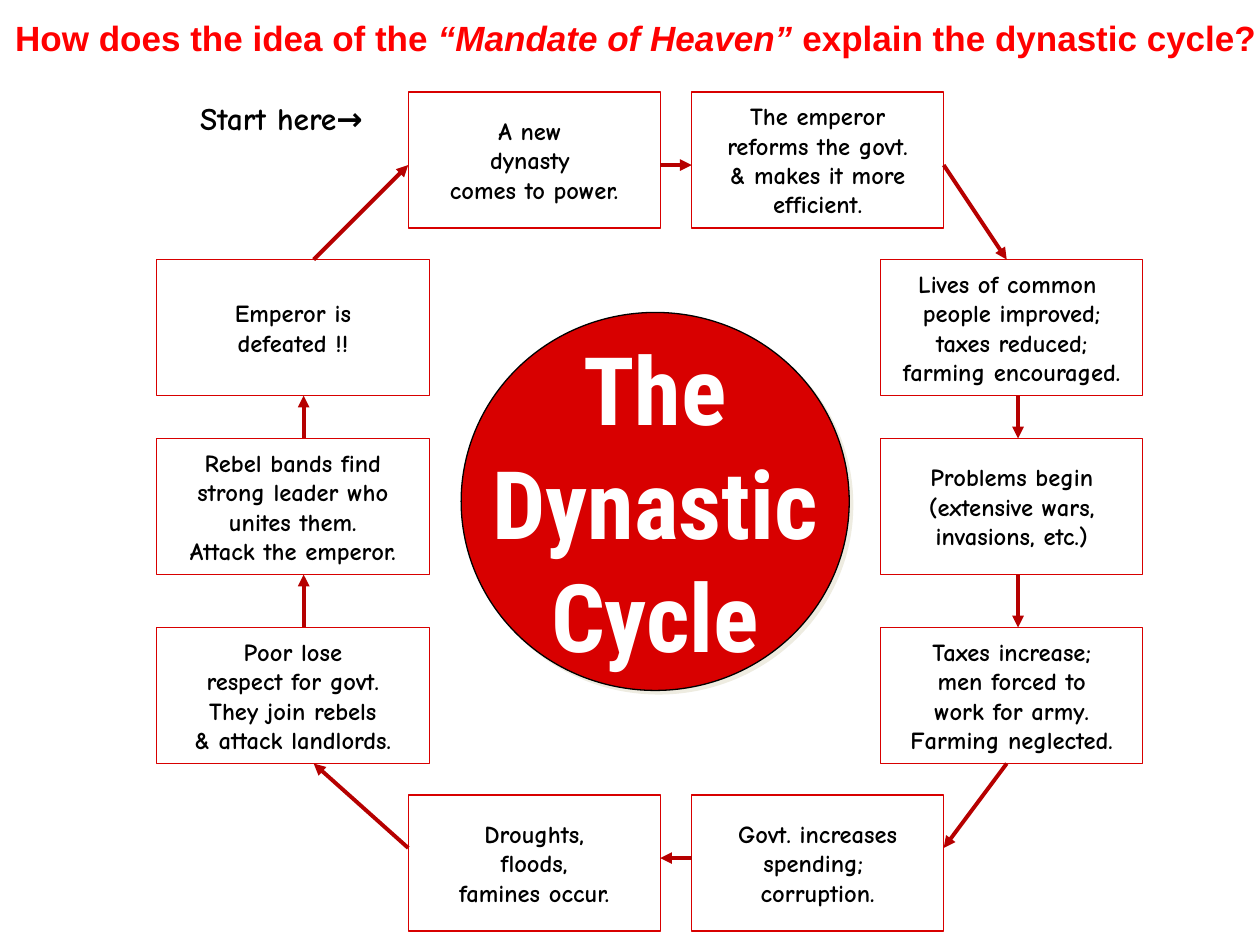
"""Builds a slide that shows the dynastic cycle as a ring of boxes around a circle."""
from dataclasses import dataclass

from lxml.etree import SubElement
from pptx import Presentation
from pptx.dml.color import RGBColor as Rgb
from pptx.enum.shapes import MSO_CONNECTOR as Link, MSO_SHAPE as Form
from pptx.enum.text import MSO_ANCHOR as Anchor, MSO_AUTO_SIZE as Fit, PP_ALIGN as Align
from pptx.oxml.ns import qn
from pptx.util import Inches, Pt


@dataclass(frozen=True)
class Theme:
    red: Rgb = Rgb(0xD8, 0x00, 0x00)
    dark: Rgb = Rgb(0xB6, 0x00, 0x00)
    bright: Rgb = Rgb(0xFF, 0x00, 0x00)
    black: Rgb = Rgb(0x00, 0x00, 0x00)
    white: Rgb = Rgb(0xFF, 0xFF, 0xFF)
    shade: str = "EEECE1"
    head: str = "Arial"
    hand: str = "Comic Neue"
    hub: str = "Roboto Condensed"
    small: Pt = Pt(14)
    start: Pt = Pt(18)
    title: Pt = Pt(20)
    huge: Pt = Pt(54)


def style(para, name, size, color, align=Align.LEFT):
    para.alignment = align
    font = para.font
    font.name, font.size, font.bold = name, size, True
    font.color.rgb = color


def add_node(form, place, text, fill, line, font):
    node = slide.shapes.add_shape(form, *map(Inches, place))
    node.shadow.inherit = False
    node.fill.solid()
    node.fill.fore_color.rgb = fill
    node.line.color.rgb = line
    node.line.width = Pt(0.75)
    frame = node.text_frame
    frame.word_wrap = False
    frame.vertical_anchor = Anchor.MIDDLE
    frame.paragraphs[0].text = text
    style(frame.paragraphs[0], *font, Align.CENTER)
    return node


theme = Theme()
deck = Presentation()
deck.slide_width, deck.slide_height = Inches(10), Inches(7.5)
slide = deck.slides.add_slide(deck.slide_layouts[5])

title = slide.shapes.title
title.left, title.top = Inches(0.02), Inches(0.08)
title.width, title.height = Inches(10.08), Inches(0.44)
frame = title.text_frame
frame.word_wrap = True
frame.auto_size = Fit.NONE
frame.vertical_anchor = Anchor.TOP
para = frame.paragraphs[0]
style(para, theme.head, theme.title, theme.bright)
for text, slant in [
    ("How does the idea of the ", False),
    ("“Mandate of Heaven” ", True),
    ("explain the dynastic cycle?", False),
]:
    run = para.add_run()
    run.text = text
    run.font.italic = slant

hub = add_node(Form.OVAL, (3.66, 2.48, 3.08, 3), "The\nDynastic\nCycle",
               theme.red, theme.black, (theme.hub, theme.huge, theme.white))
glow = SubElement(hub.element.spPr.find(qn("a:effectLst")), qn("a:outerShdw"),
                  dist=str(Pt(2.8)), dir="2700000", algn="ctr", rotWithShape="0")
SubElement(glow, qn("a:srgbClr"), val=theme.shade)

cols = {"west": (1.24, 2.17), "left": (3.24, 2), "right": (5.49, 2), "east": (6.99, 2.08)}
rows = [0.73, 2.06, 3.48, 4.98, 6.31]
tall = 1.08
steps = [
    ("left", 0, "A new \ndynasty \ncomes to power."),
    ("right", 0, "The emperor\nreforms the govt.\n& makes it more\nefficient."),
    ("east", 1, "Lives of common \npeople improved;\ntaxes reduced;\nfarming encouraged."),
    ("east", 2, "Problems begin\n(extensive wars,\ninvasions, etc.)"),
    ("east", 3, "Taxes increase;\nmen forced to\nwork for army.\nFarming neglected."),
    ("right", 4, "Govt. increases\nspending; \ncorruption."),
    ("left", 4, "Droughts,\nfloods,\nfamines occur."),
    ("west", 3, "Poor lose\nrespect for govt.\nThey join rebels\n& attack landlords."),
    ("west", 2, "Rebel bands find\nstrong leader who\nunites them.\nAttack the emperor."),
    ("west", 1, "Emperor is\ndefeated !!"),
]
for col, row, text in steps:
    left, width = cols[col]
    add_node(Form.RECTANGLE, (left, rows[row], width, tall), text,
             theme.white, theme.red, (theme.hand, theme.small, theme.black))

ends = [row + tall for row in rows]
arrows = [
    (5.24, 1.31, 5.49, 1.31),
    (7.49, 1.31, 7.99, rows[1]),
    (8.08, ends[1], 8.08, rows[2]),
    (8.08, ends[2], 8.08, rows[3]),
    (7.99, ends[3], 7.49, 6.73),
    (5.49, 6.81, 5.24, 6.81),
    (3.24, 6.73, 2.49, ends[3]),
    (2.41, rows[3], 2.41, ends[2]),
    (2.41, rows[2], 2.41, ends[1]),
    (2.49, rows[1], 3.24, 1.31),
]
for points in arrows:
    arrow = slide.shapes.add_connector(Link.STRAIGHT, *map(Inches, points))
    arrow.line.color.rgb = theme.dark
    arrow.line.width = Pt(2.25)
    SubElement(arrow.line._get_or_add_ln(), qn("a:tailEnd"), type="triangle")
    SubElement(arrow.element.spPr, qn("a:effectLst"))

label = slide.shapes.add_textbox(*map(Inches, (1.49, 0.74, 1.83, 0.45)))
label.text_frame.word_wrap = True
para = label.text_frame.paragraphs[0]
para.text = "Start here→"
style(para, theme.hand, theme.start, theme.black)

deck.save("out.pptx")
